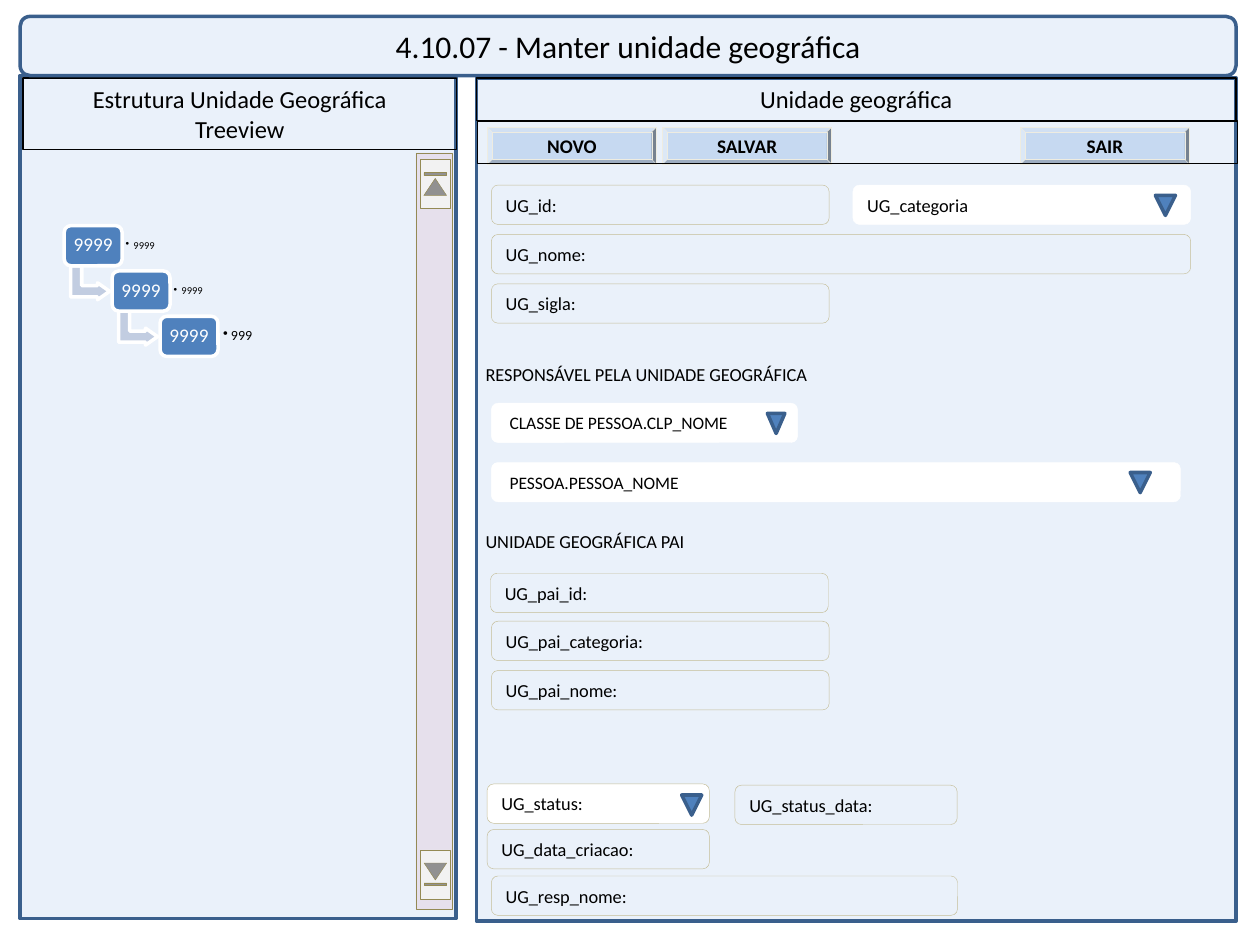
from lxml import etree
from pptx import Presentation
from pptx import util as u
from pptx.dml.color import RGBColor
from pptx.enum import shapes, text
from pptx.oxml.ns import qn

G = shapes.MSO_SHAPE
MID, TOP = text.MSO_ANCHOR.MIDDLE, text.MSO_ANCHOR.TOP
LEFT, CENTER = text.PP_ALIGN.LEFT, text.PP_ALIGN.CENTER
COLORS = {
    "panel": "EAF1FA", "frame": "3A5F8C", "black": "000000", "white": "FFFFFF",
    "node": "4F81BD", "arrow": "C2CDE1", "field": "C4BD97", "button": "C6D9F1",
    "edge": "EEECE1", "track": "E6E0EC", "scroll": "F2F2F2", "olive": "948A54",
}


def rgb(name):
    """Return the named colour."""
    return RGBColor.from_string(COLORS[name])


def write(sp, lines, size, color="black", align=LEFT, anchor=MID, bold=None, inset=None):
    """Put paragraphs of one style into a shape."""
    tf = sp.text_frame
    tf.word_wrap = True
    tf.vertical_anchor = anchor
    if inset is not None:
        tf.margin_left = tf.margin_right = tf.margin_top = tf.margin_bottom = u.Pt(inset)
    tf.text = lines
    for p in tf.paragraphs:
        p.alignment = align
        p.font.size = u.Pt(size)
        p.font.name = "Calibri"
        p.font.bold = bold
        p.font.color.rgb = rgb(color)


def add_box(s, kind, box, fill=None, line=None, width=0.25, turn=0):
    """Add a preset shape; box is left, top, width, height."""
    sp = s.shapes.add_shape(kind, *(u.Pt(v) for v in box))
    sp.shadow.inherit = False
    sp.rotation = turn
    if fill:
        sp.fill.solid()
        sp.fill.fore_color.rgb = rgb(fill)
    else:
        sp.fill.background()
    if line:
        sp.line.color.rgb = rgb(line)
        sp.line.width = u.Pt(width)
    else:
        sp.line.fill.background()
    return sp


def add_field(s, label, x, y, w, fill=None, line="field", size=10.5):
    """Add a rounded form field or a caption."""
    sp = add_box(s, G.ROUNDED_RECTANGLE, (x, y, w, 22.5), fill, line)
    write(sp, label, size)


def add_marker(s, x, y, w=11.5):
    """Add the triangle of a drop-down list."""
    add_box(s, G.FLOWCHART_EXTRACT, (x, y, w, 11.5), "node", "frame", 2, 180)


def add_button(s, label, x):
    """Add a bevelled button to the toolbar."""
    sp = add_box(s, G.BEVEL, (x, 72.7, 96.5, 21), "button", "edge")
    write(sp, label, 11, align=CENTER, bold=True)


def add_bullet(p):
    """Give a paragraph a hanging bullet."""
    pPr = p._p.get_or_add_pPr()
    pPr.set("marL", str(u.Pt(4.5)))
    pPr.set("indent", str(-u.Pt(4.5)))
    bullet = etree.Element(qn("a:buChar"), char="•")
    pPr.find(qn("a:defRPr")).addprevious(bullet)


def add_node(s, step, label, size, inset, last):
    """Add one step of the tree: arrow, box and bulleted label."""
    x, y = 36.7 + 27.4 * step, 128.9 + 25.9 * step
    if not last:
        arrow = add_box(s, G.BENT_UP_ARROW, (x + 5.1, y + 21.6, 19.4, 22.3),
                        "arrow", "white", 2, 90)
        for i, value in enumerate((0.328, 0.25, 0.358)):
            arrow.adjustments[i] = value
    sp = add_box(s, G.ROUNDED_RECTANGLE, (x, y, 33.1, 23), "node", "white", 2)
    write(sp, "9999", 11, "white", CENTER, inset=3.6)
    sp.text_frame.paragraphs[0].line_spacing = 0.9
    tb = s.shapes.add_textbox(*(u.Pt(v) for v in (x + 33.1, y + 2.2, 23.8, 18.7)))
    write(tb, label, size, inset=inset)
    p = tb.text_frame.paragraphs[0]
    p.level = 1
    p.line_spacing = 0.9
    add_bullet(p)


def add_panels(s):
    """Add the two panels and their headings."""
    add_box(s, G.RECTANGLE, (272.2, 44.6, 434.2, 481.7), "panel", "frame", 2)
    add_box(s, G.RECTANGLE, (11.5, 43.2, 249.1, 481.7), "panel", "frame", 2)
    tree = add_box(s, G.RECTANGLE, (13.2, 44.6, 247.7, 41), None, "black", 0.75)
    write(tree, "Estrutura Unidade Geográfica\nTreeview", 14, align=CENTER, anchor=TOP)
    title = add_box(s, G.ROUNDED_RECTANGLE, (11.5, 9.4, 694.8, 33.8), "panel", "frame", 2)
    write(title, "4.10.07 - Manter unidade geográfica", 18, align=CENTER)
    form = add_box(s, G.RECTANGLE, (272.2, 44.6, 434.2, 24.5), None, "black", 0.75)
    write(form, "Unidade geográfica", 14, align=CENTER, anchor=TOP)


def add_scrollbar(s):
    """Add the scroll track with its two end buttons."""
    add_box(s, G.RECTANGLE, (237.6, 87.4, 21, 432), "track", "olive")
    for y, turn in ((96.5, 270), (491, 90)):
        add_box(s, G.ACTION_BUTTON_END, (234.7, y, 28.1, 17.3), "scroll", "olive", turn=turn)


def main():
    """Build the screen mock-up."""
    prs = Presentation()
    prs.slide_width, prs.slide_height = u.Pt(720), u.Pt(540)
    s = prs.slides.add_slide(prs.slide_layouts[6])
    add_panels(s)

    nodes = (("9999", 6, 2), ("9999", 6, 2), ("999", 8, 2.9))
    for step, node in enumerate(nodes):
        add_node(s, step, *node, last=step == len(nodes) - 1)

    for label, x, y, w in (
        ("UG_id:", 280.8, 105.8, 193),
        ("UG_nome:", 280.8, 134, 399.6),
        ("UG_sigla:", 280.8, 162.2, 193),
        ("UG_pai_id:", 280.3, 327.6, 193),
        ("UG_pai_categoria:", 280.8, 355, 193),
        ("UG_pai_nome:", 280.8, 383.2, 193),
        ("UG_status_data:", 420, 448.7, 127),
        ("UG_data_criacao:", 278.4, 474, 127),
        ("UG_resp_nome:", 280.8, 500.6, 266.4),
    ):
        add_field(s, label, x, y, w)

    add_field(s, "RESPONSÁVEL PELA UNIDADE GEOGRÁFICA", 269.3, 202.3, 278, line=None)
    add_field(s, "UNIDADE GEOGRÁFICA PAI", 269.3, 298.3, 193, line=None)

    for label, x, y, w, line, size, marker in (
        ("UG_categoria", 487.4, 105.8, 193, "white", 10.5, (660.2, 111.6)),
        (" CLASSE DE PESSOA.CLP_NOME", 280.8, 230.4, 175, "white", 10, (438.5, 236.2, 10)),
        (" PESSOA.PESSOA_NOME", 280.8, 264.3, 393.8, "white", 10, (645.8, 270)),
        ("UG_status:", 278.4, 448, 127, "field", 10.5, (389.5, 454.3)),
    ):
        add_field(s, label, x, y, w, "white", line, size)
        add_marker(s, *marker)

    for label, x in (("NOVO", 278.6), ("SALVAR", 378.7), ("SAIR", 583.2)):
        add_button(s, label, x)
    add_box(s, G.RECTANGLE, (272.9, 69.1, 434.2, 24.5), None, "black", 0.75)
    add_scrollbar(s)
    prs.save("out.pptx")


main()
